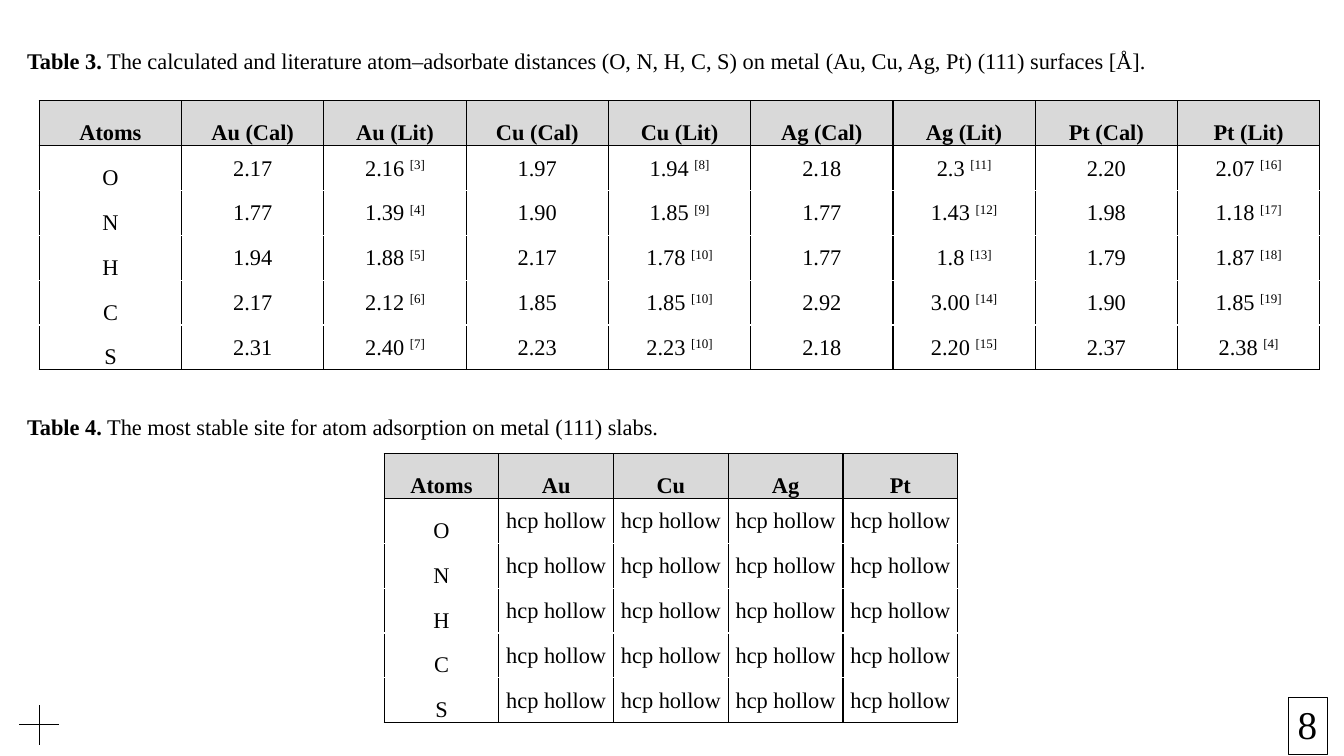
import pptx
import pptx.dml.color
import pptx.enum.shapes
import pptx.enum.text
import pptx.oxml
import pptx.oxml.ns
import pptx.util

PX = 9144
FONT = "Times New Roman"
HUES = {"ink": "000000", "head": "D9D9D9", "white": "FFFFFF"}
ATOMS = ["O", "N", "H", "C", "S"]
METALS = ["Au", "Cu", "Ag", "Pt"]
GAPS = [
    "2.17|2.16 [3]|1.97|1.94 [8]|2.18|2.3 [11]|2.20|2.07 [16]",
    "1.77|1.39 [4]|1.90|1.85 [9]|1.77|1.43 [12]|1.98|1.18 [17]",
    "1.94|1.88 [5]|2.17|1.78 [10]|1.77|1.8 [13]|1.79|1.87 [18]",
    "2.17|2.12 [6]|1.85|1.85 [10]|2.92|3.00 [14]|1.90|1.85 [19]",
    "2.31|2.40 [7]|2.23|2.23 [10]|2.18|2.20 [15]|2.37|2.38 [4]",
]


def emu(*sizes):
    """Turn px lengths into EMU."""
    return [pptx.util.Emu(size * PX) for size in sizes]


def hue(name):
    """Give the named colour."""
    return pptx.dml.color.RGBColor.from_string(HUES[name])


def add_run(para, text, size, bold=False):
    """Add a styled run to a paragraph."""
    run = para.add_run()
    run.text = text
    run.font.name = FONT
    run.font.size = pptx.util.Pt(size)
    run.font.bold = bold
    run.font.color.rgb = hue("ink")
    return run


def add_edge(cell, side, name):
    """Draw one border of a cell."""
    ns = pptx.oxml.ns.nsdecls("a")
    cell._tc.get_or_add_tcPr().append(pptx.oxml.parse_xml(
        f'<a:ln{side} {ns} w="12700"><a:solidFill>'
        f'<a:srgbClr val="{HUES[name]}"/></a:solidFill></a:ln{side}>'))


def fill_cell(cell, text, row, col, last):
    """Write and style a cell by its place in the grid."""
    cell.margin_left, cell.margin_top, cell.margin_right, cell.margin_bottom = emu(1, 1, 1, 0)
    anchor = pptx.enum.text.MSO_ANCHOR
    cell.vertical_anchor = anchor.BOTTOM if row == 0 or col == 0 else anchor.MIDDLE
    para = cell.text_frame.paragraphs[0]
    para.alignment = pptx.enum.text.PP_ALIGN.CENTER
    value, mark, cite = text.partition(" [")
    add_run(para, value + mark[:1], 16, row == 0)
    if cite:
        note = add_run(para, "[" + cite, 16)
        note._r.get_or_add_rPr().set("baseline", "30000")
    add_edge(cell, "L", "ink")
    add_edge(cell, "R", "ink")
    add_edge(cell, "T", "ink" if row < 2 else "white")
    add_edge(cell, "B", "ink" if row in (0, last) else "white")
    cell.fill.solid()
    cell.fill.fore_color.rgb = hue("head" if row == 0 else "white")


def add_grid(slide, box, rows):
    """Fill the box with an even table."""
    count, width = len(rows), len(rows[0])
    table = slide.shapes.add_table(count, width, *emu(*box)).table
    table.first_row = table.horz_banding = False
    for col in table.columns:
        col.width = pptx.util.Emu(box[2] * PX // width)
    for r, texts in enumerate(rows):
        table.rows[r].height = pptx.util.Emu(box[3] * PX // count)
        for c, text in enumerate(texts):
            fill_cell(table.cell(r, c), text, r, c, count - 1)


def add_title(slide, box, label, text):
    """Place a table caption with a bold label."""
    frame = slide.shapes.add_textbox(*emu(*box)).text_frame
    frame.word_wrap = True
    frame.auto_size = pptx.enum.text.MSO_AUTO_SIZE.SHAPE_TO_FIT_TEXT
    add_run(frame.paragraphs[0], label, 16, True)
    add_run(frame.paragraphs[0], " " + text, 16)


def add_cross(slide, box):
    """Draw two crossing lines through the middle of the box."""
    x, y, w, h = box
    mid, level = x + w // 2, y + h // 2
    for ends in ((x, level, x + w, level), (mid, y + h, mid, y)):
        line = slide.shapes.add_connector(
            pptx.enum.shapes.MSO_CONNECTOR.STRAIGHT, *emu(*ends))
        line.line.color.rgb = hue("ink")
        line.line.width = pptx.util.Pt(0.72)
        line._element.spPr.append(pptx.oxml.parse_xml(
            f'<a:effectLst {pptx.oxml.ns.nsdecls("a")}/>'))


def add_page(slide, box, number):
    """Draw the framed page number."""
    x, y, w, h = box
    frame = slide.shapes.add_shape(
        pptx.enum.shapes.MSO_SHAPE.RECTANGLE, *emu(*box))
    frame.shadow.inherit = False
    frame.fill.background()
    frame.line.color.rgb = hue("ink")
    frame.line.width = pptx.util.Pt(0.72)
    text = slide.shapes.add_textbox(*emu(x - 20, y + 11, w + 17, h - 19)).text_frame
    text.margin_left = text.margin_top = text.margin_right = text.margin_bottom = 0
    text.word_wrap = True
    text.auto_size = pptx.enum.text.MSO_AUTO_SIZE.SHAPE_TO_FIT_TEXT
    para = text.paragraphs[0]
    para.line_spacing = pptx.util.Pt(27.4)
    props = para._p.get_or_add_pPr()
    props.set("marL", str(29 * PX))
    props.set("indent", "0")
    run = add_run(para, number, 28)
    run._r.get_or_add_rPr().set("spc", "-50")


def main():
    """Build the slide and save it."""
    deck = pptx.Presentation()
    deck.slide_width, deck.slide_height = emu(1333, 750)
    slide = deck.slides.add_slide(deck.slide_layouts[6])
    heads = [f"{metal} ({kind})" for metal in METALS for kind in ("Cal", "Lit")]
    spans = [[atom] + line.split("|") for atom, line in zip(ATOMS, GAPS)]
    sites = [[atom] + ["hcp hollow"] * len(METALS) for atom in ATOMS]
    add_grid(slide, (39, 100, 1270, 267), [["Atoms"] + heads] + spans)
    add_title(slide, (17, 42, 1300, 37), "Table 3.",
              "The calculated and literature atom–adsorbate distances "
              "(O, N, H, C, S) on metal (Au, Cu, Ag, Pt) (111) surfaces [Å].")
    add_title(slide, (17, 405, 1300, 37), "Table 4.",
              "The most stable site for atom adsorption on metal (111) slabs.")
    add_grid(slide, (381, 450, 569, 267), [["Atoms"] + METALS] + sites)
    add_cross(slide, (19, 699, 40, 40))
    add_page(slide, (1278, 692, 39, 57), "8")
    deck.save("out.pptx")


if __name__ == "__main__":
    main()
